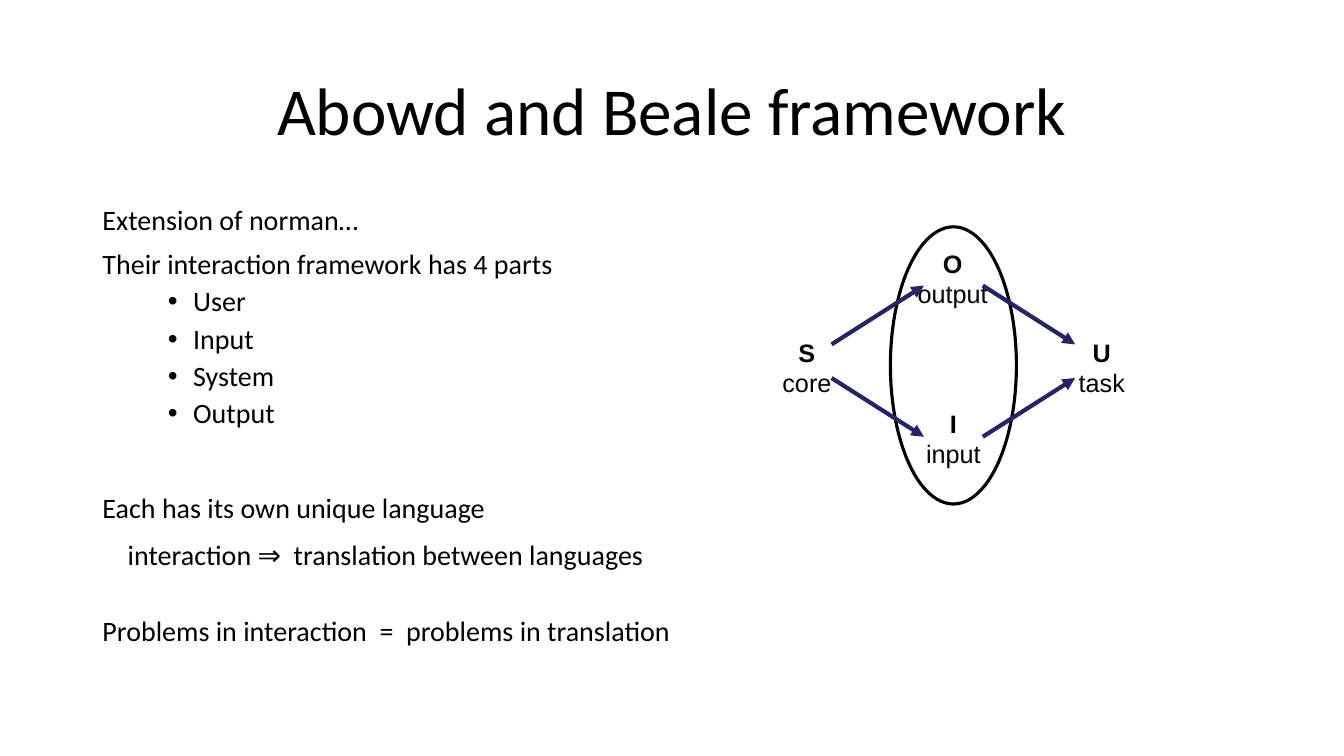
import pptx
import pptx.dml.color
import pptx.enum.shapes
import pptx.enum.text
import pptx.oxml
import pptx.oxml.ns
import pptx.util

Pt = pptx.util.Pt
ALIGN = pptx.enum.text.PP_ALIGN
ANCHOR = pptx.enum.text.MSO_ANCHOR
AUTO_SIZE = pptx.enum.text.MSO_AUTO_SIZE


def colour(value):
    return pptx.dml.color.RGBColor.from_string(value)


def add_xml(parent, tag, **attributes):
    element = pptx.oxml.parse_xml(f"<a:{tag} {pptx.oxml.ns.nsdecls('a')}/>")
    for key, value in attributes.items():
        element.set(key, str(value))
    parent.append(element)


class FrameworkSlide:
    ink = "000000"
    arrow_ink = "262464"
    text_font = "Calibri"
    label_font = "Arial"

    def __init__(self, deck):
        self.slide = deck.slides.add_slide(deck.slide_layouts[1])
        self.diagram = self.slide.shapes.add_group_shape().shapes

    def style(self, paragraph, font, size, bold=False):
        paragraph.font.name = font
        paragraph.font.size = Pt(size)
        paragraph.font.bold = bold
        paragraph.font.color.rgb = colour(self.ink)

    def place(self, holder, left, top, width, height, anchor):
        holder.left, holder.top = Pt(left), Pt(top)
        holder.width, holder.height = Pt(width), Pt(height)
        holder.text_frame.auto_size = AUTO_SIZE.NONE
        holder.text_frame.vertical_anchor = anchor

    def title(self, text, *box):
        heading = self.slide.shapes.title
        self.place(heading, *box, ANCHOR.MIDDLE)
        heading.text_frame.text = text
        paragraph = heading.text_frame.paragraphs[0]
        paragraph.alignment = ALIGN.CENTER
        paragraph.line_spacing = 0.9
        self.style(paragraph, self.text_font, 48)

    def body(self, points, *box):
        holder = self.slide.placeholders[1]
        self.place(holder, *box, ANCHOR.TOP)
        frame = holder.text_frame
        frame.text = "\n".join(text for text, *_ in points)
        for paragraph, (_, level, margin, indent, gap) in zip(frame.paragraphs, points):
            paragraph.level = level
            paragraph.line_spacing = 0.9
            paragraph.space_before = Pt(gap)
            self.style(paragraph, self.text_font, 20)
            properties = paragraph._p.get_or_add_pPr()
            properties.set("marL", str(Pt(margin)))
            properties.set("indent", str(Pt(indent)))
            bullet = [("buFont", {"typeface": "Arial"}), ("buChar", {"char": "•"})]
            for tag, attributes in bullet if level else [("buNone", {})]:
                position = properties.find(pptx.oxml.ns.qn("a:defRPr"))
                add_xml(properties, tag, **attributes)
                if position is not None:
                    properties.append(position)

    def ellipse(self, left, top, width, height):
        oval = self.diagram.add_shape(
            pptx.enum.shapes.MSO_SHAPE.OVAL, Pt(left), Pt(top), Pt(width), Pt(height))
        oval.shadow.inherit = False
        oval.fill.background()
        oval.line.color.rgb = colour(self.ink)
        oval.line.width = Pt(2.25)

    def label(self, letter, role, centre, top, width):
        box = self.diagram.add_textbox(Pt(centre - width / 2), Pt(top), Pt(width), Pt(51))
        frame = box.text_frame
        frame.word_wrap = False
        frame.auto_size = AUTO_SIZE.SHAPE_TO_FIT_TEXT
        frame.text = f"{letter}\n{role}"
        for paragraph, bold in zip(frame.paragraphs, (True, False)):
            paragraph.alignment = ALIGN.CENTER
            self.style(paragraph, self.label_font, 18, bold)

    def arrow(self, *ends):
        arrow = self.diagram.add_connector(
            pptx.enum.shapes.MSO_CONNECTOR.STRAIGHT, *map(Pt, ends))
        arrow.line.color.rgb = colour(self.arrow_ink)
        arrow.line.width = Pt(3)
        add_xml(arrow.line._get_or_add_ln(), "tailEnd", type="triangle")
        add_xml(arrow._element.spPr, "effectLst")


def main():
    deck = pptx.Presentation()
    deck.slide_width, deck.slide_height = Pt(960), Pt(540)
    framework = FrameworkSlide(deck)

    framework.title("Abowd and Beale framework", 66, 28.75, 828, 104.4)
    parts = [(part, 1, 64.8, -18, 5) for part in ("User", "Input", "System", "Output")]
    framework.body([
        ("Extension of norman…", 0, 18, -18, 10),
        ("Their interaction framework has 4 parts", 0, 18, -18, 10),
        *parts,
        ("Each has its own unique language", 0, 18, -18, 46),
        ("interaction ⇒  translation between languages", 0, 18, 0, 12),
        ("Problems in interaction  =  problems in translation", 0, 18, -18, 33),
    ], 66, 143.75, 828, 342.7)

    framework.ellipse(636, 162, 90, 198)
    for label in (("S", "core", 576.4, 237.5, 50), ("U", "task", 787, 237.5, 48),
                  ("O", "output", 680.5, 174, 65), ("I", "input", 681, 288, 54)):
        framework.label(*label)
    for system_y, language_y in ((246, 204), (270, 312)):
        framework.arrow(594, system_y, 660, language_y)
    framework.arrow(702, 204, 768, 246)
    framework.arrow(702, 312, 768, 270)

    deck.save("out.pptx")


if __name__ == "__main__":
    main()
